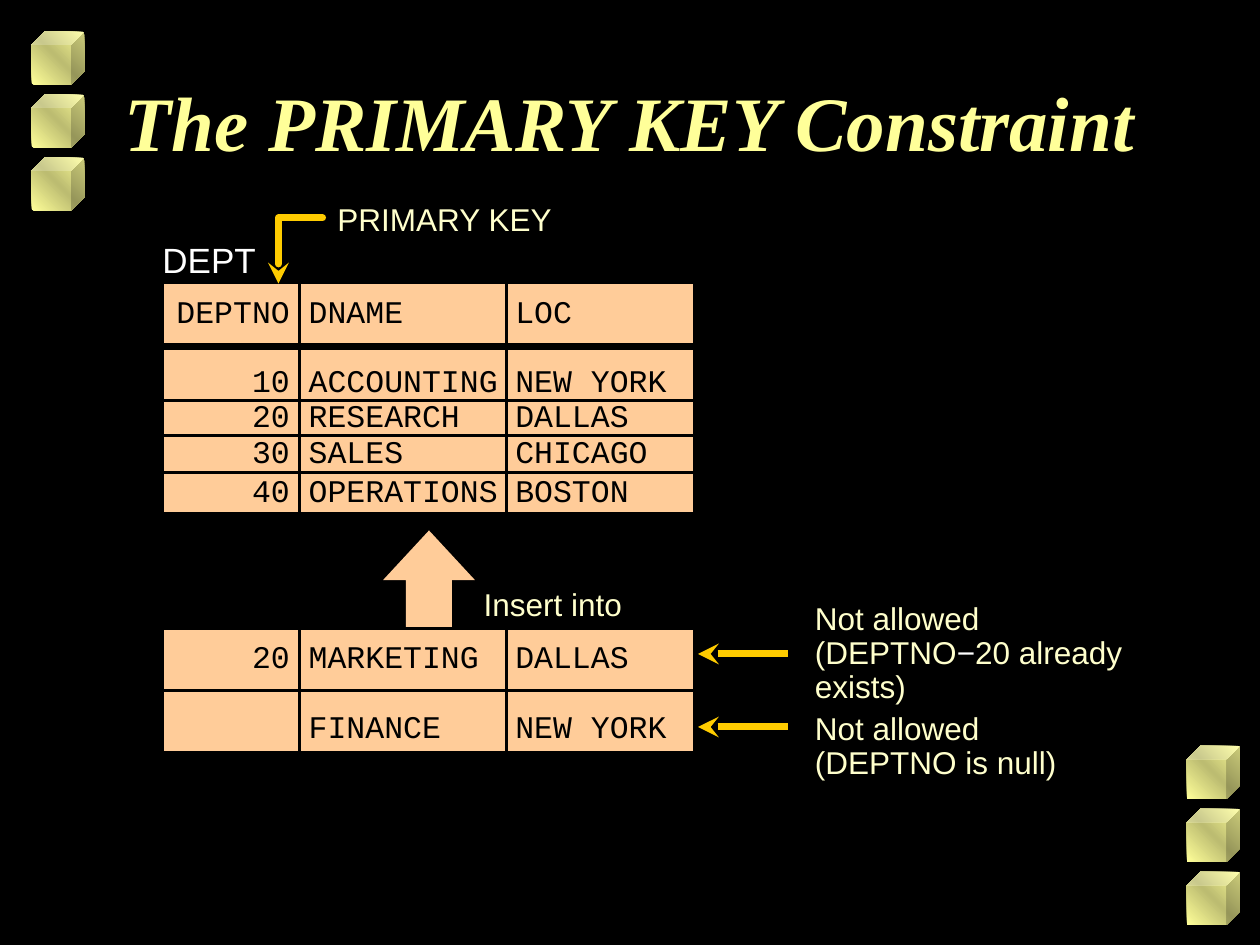
import lxml.etree
import pptx
import pptx.dml.color
import pptx.enum.shapes
import pptx.enum.text
import pptx.oxml.ns
import pptx.util

Inches, Pt = pptx.util.Inches, pptx.util.Pt
RGBColor = pptx.dml.color.RGBColor
SHAPE = pptx.enum.shapes.MSO_SHAPE
ALIGN = pptx.enum.text.PP_ALIGN
MIDDLE = pptx.enum.text.MSO_ANCHOR.MIDDLE
qn = pptx.oxml.ns.qn

BLACK = RGBColor(0x00, 0x00, 0x00)
WHITE = RGBColor(0xFF, 0xFF, 0xFF)
PEACH = RGBColor(0xFF, 0xCC, 0x99)
CREAM = RGBColor(0xFF, 0xFF, 0xCC)
YELLOW = RGBColor(0xFF, 0xFF, 0x99)
OLIVE = RGBColor(0xBC, 0xBC, 0x71)
GOLD = RGBColor(0xFF, 0xCC, 0x00)

TITLE = "The PRIMARY KEY Constraint"
TITLE_FONT = dict(name="Times New Roman", size=Pt(44), bold=True, italic=True)
LABEL_FONT = dict(name="Arial", size=Pt(18))
CELL_FONT = dict(name="Courier New", size=Pt(18))

# Each row: height, space above the text, cells
DEPT_ROWS = [
    (0.51, 0, ("DEPTNO", "DNAME", "LOC")),
    (0.43, 0.15, ("10", "ACCOUNTING", "NEW YORK")),
    (0.28, 0, ("20", "RESEARCH", "DALLAS")),
    (0.29, 0, ("30", "SALES", "CHICAGO")),
    (0.33, 0, ("40", "OPERATIONS", "BOSTON")),
]
INSERTED_ROWS = [
    (0.49, 0, ("20", "MARKETING", "DALLAS")),
    (0.49, 0.13, ("", "FINANCE", "NEW YORK")),
]
TABLE_LEFT = 1.29
COLUMN_WIDTHS = (1.09, 1.64, 1.49)

# Each label: box, line spacing, size, wrap, runs of text and colour
LABELS = [
    ((1.19, 1.84, 1.02, 0.43), 1.0, 20, False, [("DEPT", WHITE)]),
    ((2.58, 1.57, 3.21, 0.37), 0.9, 18, True, [("PRIMARY KEY", CREAM)]),
    ((3.74, 4.63, 2.84, 0.37), 0.9, 18, True, [("Insert into", CREAM)]),
    ((6.37, 4.74, 2.84, 0.91), 0.9, 18, True,
     [("Not allowed (DEPTNO", CREAM), ("−", WHITE), ("20 already exists)", CREAM)]),
    ((6.37, 5.61, 2.84, 0.64), 0.9, 18, True,
     [("Not allowed", CREAM), ("\n", CREAM), ("(DEPTNO is null)", CREAM)]),
]
REJECTION_ARROW_TOPS = (5.19, 5.77)
KEY_ARROW_POINTS = [(2.56, 1.73), (2.21, 1.73), (2.21, 2.25)]
CUBE_STACKS = [(0.25, 0.25), (9.42, 5.92)]
CUBE_SIZE, CUBE_STEP, CUBES_PER_STACK = 0.42, 0.5, 3


def set_format(target, values):
    for attribute, value in values.items():
        setattr(target, attribute, value)


def style_font(font, values, color):
    set_format(font, values)
    font.color.rgb = color


def add_color(parent, color):
    lxml.etree.SubElement(parent, qn("a:srgbClr"), val=str(color))


def add_cube(shapes, left, top):
    cube = shapes.add_shape(SHAPE.CUBE, Inches(left), Inches(top),
                            Inches(CUBE_SIZE), Inches(CUBE_SIZE))
    cube.shadow.inherit = False
    cube.line.fill.background()
    cube.fill.gradient()
    cube.fill.gradient_angle = 45
    stops = cube._element.spPr.find(qn("a:gradFill")).find(qn("a:gsLst"))
    for stop in list(stops):
        stops.remove(stop)
    for percent, color in ((0, YELLOW), (50, OLIVE), (100, YELLOW)):
        add_color(lxml.etree.SubElement(stops, qn("a:gs"), pos=str(percent * 1000)), color)


def add_borders(cell, widths):
    """Draw black borders; widths gives points for the sides L, R, T and B."""
    properties = cell._tc.get_or_add_tcPr()
    for side, width in zip("LRTB", widths):
        border = lxml.etree.SubElement(properties, qn("a:ln" + side), w=str(Pt(width)))
        add_color(lxml.etree.SubElement(border, qn("a:solidFill")), BLACK)


def add_rows(shapes, top, rows, header_line=2):
    height = sum(row[0] for row in rows)
    table = shapes.add_table(len(rows), len(COLUMN_WIDTHS), Inches(TABLE_LEFT), Inches(top),
                             Inches(sum(COLUMN_WIDTHS)), Inches(height)).table
    set_format(table, dict(first_row=False, horz_banding=False))
    for column, width in zip(table.columns, COLUMN_WIDTHS):
        column.width = Inches(width)
    for r, (row_height, space_above, texts) in enumerate(rows):
        table.rows[r].height = Inches(row_height)
        for c, text in enumerate(texts):
            cell = table.cell(r, c)
            add_borders(cell, (2, 2, header_line if r == 1 else 2, header_line if r == 0 else 2))
            cell.fill.solid()
            cell.fill.fore_color.rgb = PEACH
            left, right = (0.02, 0.08) if c == 0 else (0.07, 0.02)
            set_format(cell, dict(margin_left=Inches(left), margin_right=Inches(right),
                                  margin_top=Inches(space_above), margin_bottom=0,
                                  vertical_anchor=MIDDLE, text=text))
            paragraph = cell.text_frame.paragraphs[0]
            set_format(paragraph, dict(alignment=ALIGN.RIGHT if c == 0 else ALIGN.LEFT,
                                       line_spacing=0.95))
            style_font(paragraph.font, CELL_FONT, BLACK)


def add_label(shapes, box, spacing, size, wrap, runs):
    frame = shapes.add_textbox(*map(Inches, box)).text_frame
    frame.word_wrap = wrap
    paragraph = frame.paragraphs[0]
    paragraph.line_spacing = spacing
    for text, color in runs:
        if text == "\n":
            paragraph.add_line_break()
            continue
        run = paragraph.add_run()
        run.text = text
        style_font(run.font, {**LABEL_FONT, "size": Pt(size)}, color)


def style_arrow(arrow, end, cap):
    """Make a gold line with a stealth arrowhead at headEnd or tailEnd."""
    arrow.line.color.rgb = GOLD
    arrow.line.width = Pt(4)
    line = arrow.line._get_or_add_ln()
    line.set("cap", cap)
    if cap == "rnd":
        lxml.etree.SubElement(line, qn("a:round"))
    lxml.etree.SubElement(line, qn("a:" + end), type="stealth")


def main():
    deck = pptx.Presentation()
    set_format(deck, dict(slide_width=Inches(10), slide_height=Inches(7.5)))
    slide = deck.slides.add_slide(deck.slide_layouts[5])
    slide.background.fill.solid()
    slide.background.fill.fore_color.rgb = BLACK
    shapes = slide.shapes

    title = shapes.title
    set_format(title, dict(left=Inches(0.75), top=Inches(0.33),
                           width=Inches(8.5), height=Inches(1.25)))
    title.text_frame.text = TITLE
    title.text_frame.vertical_anchor = MIDDLE
    heading = title.text_frame.paragraphs[0]
    heading.alignment = ALIGN.CENTER
    style_font(heading.runs[0].font, TITLE_FONT, YELLOW)

    for left, top in CUBE_STACKS:
        for i in range(CUBES_PER_STACK):
            add_cube(shapes, left, top + i * CUBE_STEP)

    add_rows(shapes, 2.24, DEPT_ROWS, header_line=4)

    insert_arrow = shapes.add_shape(SHAPE.UP_ARROW, Inches(3.04), Inches(4.21),
                                    Inches(0.73), Inches(0.79))
    insert_arrow.adjustments[1] = 0.54
    insert_arrow.shadow.inherit = False
    insert_arrow.fill.solid()
    insert_arrow.fill.fore_color.rgb = PEACH
    insert_arrow.line.fill.background()

    add_rows(shapes, 4.99, INSERTED_ROWS)

    for label in LABELS:
        add_label(shapes, *label)

    start, *bends = [(Inches(x), Inches(y)) for x, y in KEY_ARROW_POINTS]
    builder = shapes.build_freeform(*start)
    builder.add_line_segments(bends, close=False)
    key_arrow = builder.convert_to_shape()
    key_arrow.shadow.inherit = False
    key_arrow.fill.background()
    style_arrow(key_arrow, "tailEnd", "rnd")

    for top in REJECTION_ARROW_TOPS:
        arrow = shapes.add_connector(pptx.enum.shapes.MSO_CONNECTOR.STRAIGHT,
                                     Inches(5.54), Inches(top), Inches(6.25), Inches(top))
        style_arrow(arrow, "headEnd", "flat")
        lxml.etree.SubElement(arrow._element.spPr, qn("a:effectLst"))

    deck.save("out.pptx")


if __name__ == "__main__":
    main()
